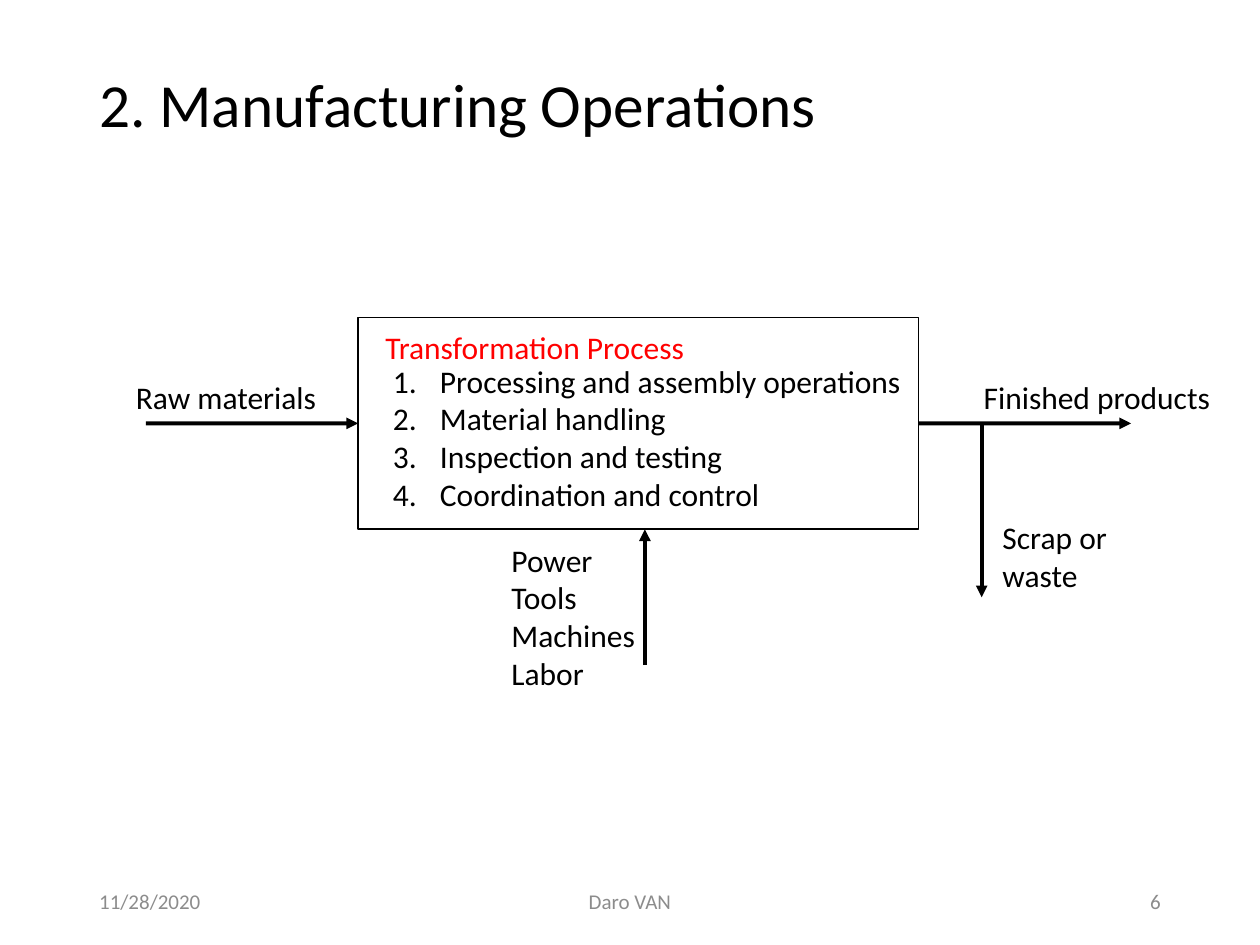
"""Build a slide on the inputs and outputs of manufacturing operations."""
from pptx import Presentation
from pptx.dml.color import RGBColor
from pptx.enum.shapes import MSO_CONNECTOR, MSO_SHAPE
from pptx.enum.text import MSO_ANCHOR, PP_ALIGN
from pptx.oxml.ns import qn
from pptx.util import Cm, Pt
from lxml.etree import SubElement

BLACK = RGBColor(0, 0, 0)
WHITE = RGBColor(255, 255, 255)
RED = RGBColor(255, 0, 0)
GRAY = RGBColor(0x8C, 0x8C, 0x8C)
FONT = "Calibri"

TITLE = "2. Manufacturing Operations"
HEAD = "Transformation Process"
STEPS = ["Processing and assembly operations", "Material handling",
         "Inspection and testing", "Coordination and control"]
LABELS = [
    (["Raw materials"], (2.49, 7.49, 4.19, 1.02)),
    (["Finished products"], (19.58, 7.49, 5.13, 1.02)),
    (["Power", "Tools", "Machines", "Labor"], (10.06, 10.77, 3.02, 3.33)),
    (["Scrap or", "waste"], (19.96, 10.31, 2.79, 1.8)),
]
FOOT = [
    ("11/28/2020", 1.75, 5.72, PP_ALIGN.LEFT),
    ("Daro VAN", 8.41, 8.58, PP_ALIGN.CENTER),
    ("6", 17.93, 5.72, PP_ALIGN.RIGHT),
]
LEFT, TOP, WIDE, HIGH = 7.22, 6.4, 11.3, 4.27
MID, END, BASE = TOP + HIGH / 2, LEFT + WIDE, TOP + HIGH
FLOW = 4.28

deck = Presentation()
deck.slide_width, deck.slide_height = Cm(25.4), Cm(19.05)
slide = deck.slides.add_slide(deck.slide_layouts[6])


def write(lines, place, size=18, color=BLACK, align=PP_ALIGN.LEFT,
          anchor=MSO_ANCHOR.TOP, wrap=False, space=None, inset=0.13,
          number=False):
    frame = slide.shapes.add_textbox(*map(Cm, place)).text_frame
    frame.word_wrap = wrap
    frame.vertical_anchor = anchor
    frame.margin_top = Cm(inset)
    frame.text = "\n".join(lines)
    for para in frame.paragraphs:
        para.alignment = align
        para.line_spacing = space
        font = para.font if not para.runs else para.runs[0].font
        font.name, font.size = FONT, Pt(size)
        font.color.rgb = color
        if number:
            props = para._p.get_or_add_pPr()
            props.set("marL", str(Cm(0.95)))
            props.set("indent", str(-Cm(0.95)))
            SubElement(props, qn("a:buFont"), typeface="+mj-lt")
            SubElement(props, qn("a:buAutoNum"), type="arabicPeriod")


def arrow(start, stop):
    line = slide.shapes.add_connector(
        MSO_CONNECTOR.STRAIGHT, *map(Cm, start + stop))
    line.line.color.rgb = BLACK
    line.line.width = Pt(2.25)
    SubElement(line.line._get_or_add_ln(), qn("a:tailEnd"), type="triangle")
    SubElement(line._element.spPr, qn("a:effectLst"))
    return line


write([TITLE], (1.75, 1.02, 21.89, 3.68), size=35, wrap=True,
      space=0.9, inset=0.48)

box = slide.shapes.add_shape(
    MSO_SHAPE.RECTANGLE, *map(Cm, (LEFT, TOP, WIDE, HIGH)))
box.shadow.inherit = False
box.fill.solid()
box.fill.fore_color.rgb = WHITE
box.line.color.rgb = BLACK
box.line.width = Pt(1)

write([HEAD], (7.52, 6.48, 6.6, 1.02), color=RED)
write(STEPS, (7.67, 7.16, 10.87, 3.33), number=True)

arrow((LEFT - FLOW, MID), (LEFT, MID)).end_connect(box, 1)
arrow((END, MID), (END + FLOW, MID)).begin_connect(box, 3)
arrow((13, 13.41), (13, BASE))
arrow((19.79, MID), (19.79, 12.04))

for lines, place in LABELS:
    write(lines, place)
for text, left, wide, align in FOOT:
    write([text], (left, 17.65, wide, 1.02), size=12, color=GRAY,
          align=align, anchor=MSO_ANCHOR.MIDDLE, wrap=True)

deck.save("out.pptx")
